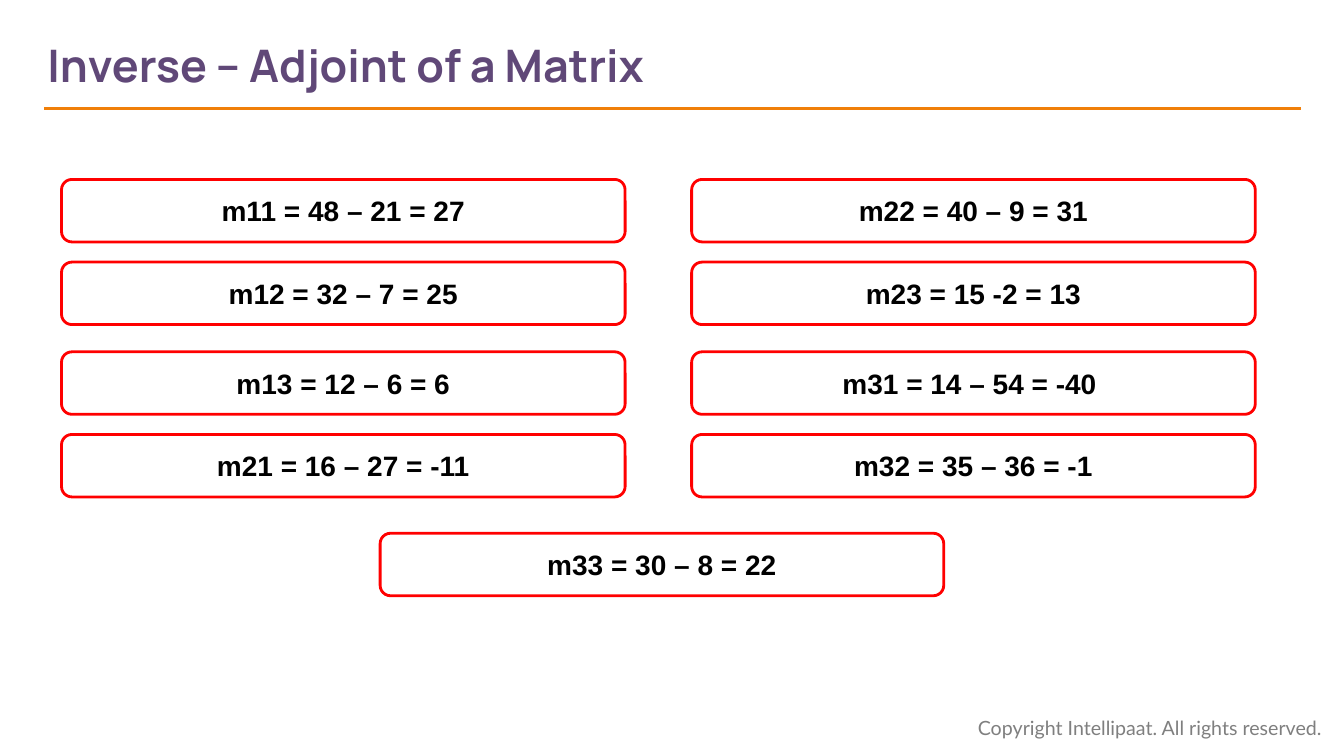
from lxml.etree import SubElement
from pptx import Presentation
from pptx.dml.color import RGBColor
from pptx.enum.shapes import MSO_CONNECTOR, MSO_SHAPE
from pptx.enum.text import MSO_ANCHOR, PP_ALIGN
from pptx.oxml.ns import qn
from pptx.util import Inches, Pt

TITLE = "Inverse – Adjoint of a Matrix"
FOOTER = "Copyright Intellipaat. All rights reserved."
MINORS = [
    ["m11 = 48 – 21 = 27", "m12 = 32 – 7 = 25",
     "m13 = 12 – 6 = 6", "m21 = 16 – 27 = -11"],
    ["m22 = 40 – 9 = 31", "m23 = 15 -2 = 13",
     "m31 = 14 – 54 = -40 ", "m32 = 35 – 36 = -1"],
]
LAST = "m33 = 30 – 8 = 22"

PURPLE = RGBColor(0x60, 0x48, 0x78)
ORANGE = RGBColor(0xF0, 0x7F, 0x09)
RED = RGBColor(0xFF, 0x00, 0x00)
BLACK = RGBColor(0x00, 0x00, 0x00)
GRAY = RGBColor(0x7F, 0x7F, 0x7F)

WIDTH, HEIGHT = 13.33, 7.5
BOX_W, BOX_H = 5.59, 0.62
LEFT, COL_STEP = 0.61, 6.25
TOP, ROW_STEP, PAIR_STEP = 1.78, 0.82, 1.71


def write(shape, text, font, size, color, bold=False,
          align=PP_ALIGN.LEFT, anchor=MSO_ANCHOR.MIDDLE, inset=0.1):
    frame = shape.text_frame
    frame.word_wrap = True
    frame.vertical_anchor = anchor
    frame.margin_left = Inches(inset)
    para = frame.paragraphs[0]
    para.alignment = align
    run = para.add_run()
    run.text = text
    run.font.name, run.font.size = font, Pt(size)
    run.font.bold, run.font.color.rgb = bold, color


def add_text(slide, box, text, **style):
    write(slide.shapes.add_textbox(*map(Inches, box)), text, **style)


def add_minor(slide, left, top, text):
    box = slide.shapes.add_shape(
        MSO_SHAPE.FLOWCHART_ALTERNATE_PROCESS,
        *map(Inches, (left, top, BOX_W, BOX_H)))
    box.shadow.inherit = False
    box.fill.background()
    box.line.color.rgb, box.line.width = RED, Pt(2)
    write(box, text, font="Arial", size=20, color=BLACK, bold=True,
          align=PP_ALIGN.CENTER)


def add_rule(slide, left, right, top):
    rule = slide.shapes.add_connector(
        MSO_CONNECTOR.STRAIGHT, *map(Inches, (left, top, right, top)))
    rule.line.color.rgb, rule.line.width = ORANGE, Pt(2.25)
    SubElement(rule._element.spPr, qn("a:effectLst"))


def main():
    deck = Presentation()
    deck.slide_width, deck.slide_height = Inches(WIDTH), Inches(HEIGHT)
    slide = deck.slides.add_slide(deck.slide_layouts[6])

    add_text(slide, (9.6, 7.05, 3.67, 0.34), FOOTER, font="Lato", size=14,
             color=GRAY, anchor=MSO_ANCHOR.TOP)
    add_rule(slide, 0.44, 12.9, 1.08)
    add_text(slide, (0.47, 0.22, 9.47, 0.84), TITLE, font="Manrope", size=32,
             color=PURPLE, bold=True, inset=0)

    for col, minors in enumerate(MINORS):
        for row, text in enumerate(minors):
            pair, half = divmod(row, 2)
            add_minor(slide, LEFT + col * COL_STEP,
                      TOP + pair * PAIR_STEP + half * ROW_STEP, text)
    add_minor(slide, 3.77, 5.29, LAST)

    deck.save("out.pptx")


if __name__ == "__main__":
    main()
